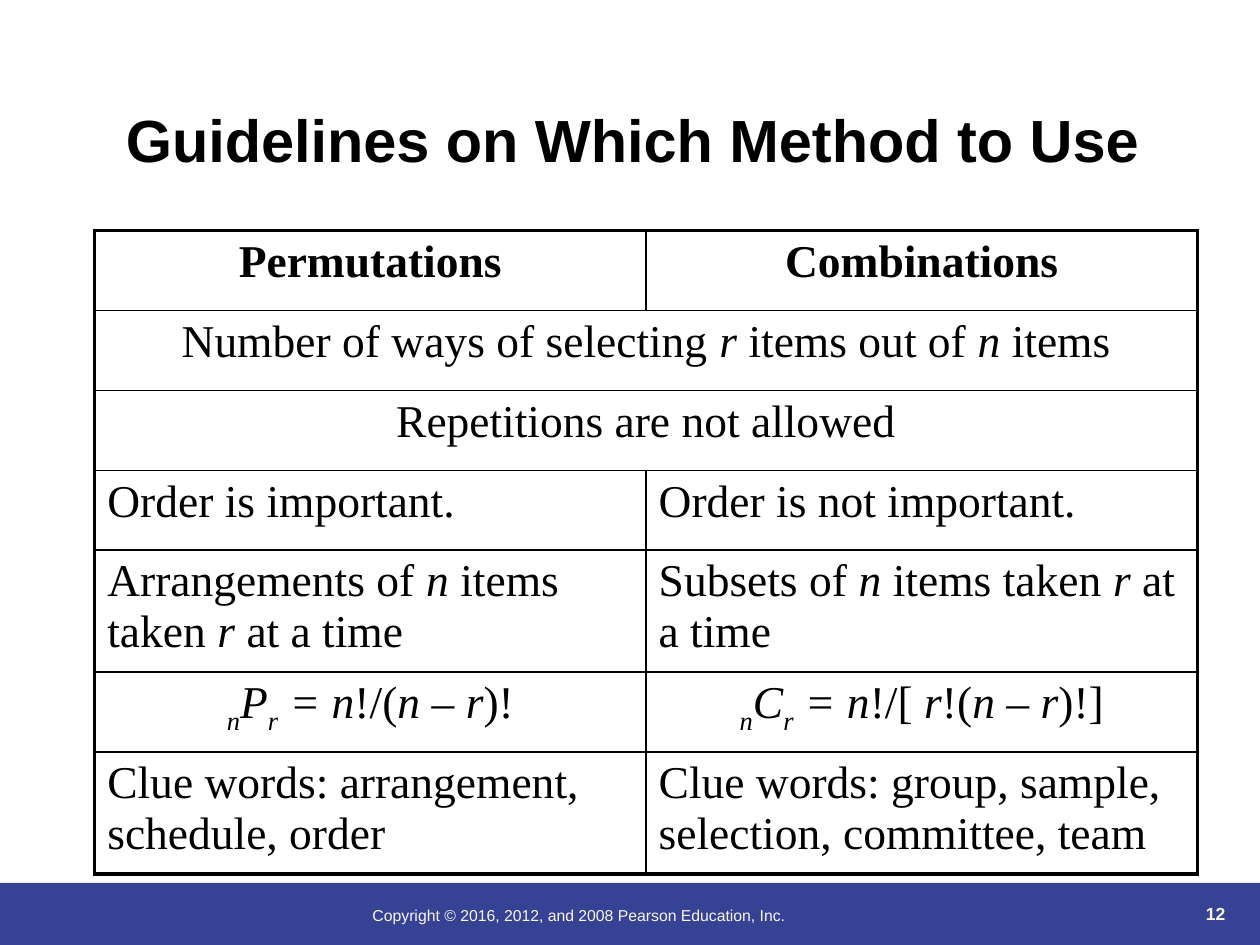
from lxml import etree
from pptx import Presentation
from pptx.dml import color
from pptx.enum import shapes, text
from pptx.oxml import ns
from pptx.util import Cm, Pt

COLORS = {"ink": "000000", "band": "364395", "cream": "FBF5EA"}
LEFT, CENTER, RIGHT = text.PP_ALIGN.LEFT, text.PP_ALIGN.CENTER, text.PP_ALIGN.RIGHT
TOP, BOTTOM = text.MSO_ANCHOR.TOP, text.MSO_ANCHOR.BOTTOM
THICK, THIN = Pt(2.25), Pt(1)
SINGLE_ROW, DOUBLE_ROW = 1.61, 2.46
GUIDELINES = [
    ("Permutations", "Combinations"),
    ("Number of ways of selecting *r* items out of *n* items",),
    ("Repetitions are not allowed",),
    ("Order is important.", "Order is not important."),
    ("Arrangements of *n* items taken *r* at a time",
     "Subsets of *n* items taken *r* at a time"),
    ("*_n_P_r_ = n*!/(*n – r*)!", "*_n_C_r_ = n*!/[* r*!(*n – r*)!]"),
    ("Clue words: arrangement, schedule, order",
     "Clue words: group, sample, selection, committee, team"),
]
CENTERED_ROWS = {0, 1, 2, 5}
TALL_ROWS = {4, 6}


def rgb(name):
    """Return the named colour."""
    return color.RGBColor.from_string(COLORS[name])


def write_text(frame, content, font="Arial", size=10, ink="ink", bold=False, align=LEFT):
    """Write one paragraph, with *italic* and, inside it, _subscript_ marks."""
    frame.word_wrap = True
    paragraph = frame.paragraphs[0]
    paragraph.alignment = align
    for index, part in enumerate(content.split("*")):
        for depth, piece in enumerate(part.split("_")):
            if not piece:
                continue
            run = paragraph.add_run()
            run.text = piece
            run.font.name, run.font.size = font, Pt(size)
            run.font.bold, run.font.italic = bold, index % 2 == 1
            run.font.color.rgb = rgb(ink)
            if depth % 2:
                run.font._element.set("baseline", "-25000")


def add_text(slide, box, content, anchor=TOP, **style):
    """Add a text box at (left, top, width, height) in centimetres."""
    frame = slide.shapes.add_textbox(*map(Cm, box)).text_frame
    frame.vertical_anchor = anchor
    write_text(frame, content, **style)


def add_footer(slide, left, top, width, height):
    """Draw the footer band with its copyright line and page number."""
    band = slide.shapes.add_shape(
        shapes.MSO_SHAPE.RECTANGLE, Cm(left), Cm(top), Cm(width), Cm(height))
    band.shadow.inherit = False
    band.fill.solid()
    band.fill.fore_color.rgb = rgb("band")
    band.line.fill.background()
    add_text(slide, (left + 7.26, top + 0.33, 12.5, height),
             "Copyright © 2016, 2012, and 2008 Pearson Education, Inc.",
             size=9, ink="cream")
    add_text(slide, (left + 22.61, top - 0.3, 2.34, height), "12",
             anchor=BOTTOM, ink="cream", bold=True, align=RIGHT)


def set_borders(cell, widths):
    """Give a cell solid borders from a mapping of side to width."""
    properties = cell._tc.get_or_add_tcPr()
    for position, (side, width) in enumerate(widths.items()):
        line = etree.Element(ns.qn(f"a:ln{side}"), w=str(width))
        fill = etree.SubElement(line, ns.qn("a:solidFill"))
        etree.SubElement(fill, ns.qn("a:srgbClr"), val=COLORS["ink"])
        properties.insert(position, line)


def add_guidelines(slide, left, top, width):
    """Draw the comparison table with a thick outer frame."""
    heights = [DOUBLE_ROW if row in TALL_ROWS else SINGLE_ROW
               for row in range(len(GUIDELINES))]
    table = slide.shapes.add_table(
        len(heights), 2, Cm(left), Cm(top), Cm(width), Cm(sum(heights))).table
    table.first_row = table.horz_banding = False
    for column in table.columns:
        column.width = Cm(width / 2)
    for row, entries in enumerate(GUIDELINES):
        table.rows[row].height = Cm(heights[row])
        if len(entries) == 1:
            table.cell(row, 0).merge(table.cell(row, 1))
        for column in range(2):
            cell = table.cell(row, column)
            cell.fill.background()
            widths = {
                "L": THIN if column else THICK,
                "R": THICK if column or cell.is_merge_origin else THIN,
                "T": THIN if row else THICK,
                "B": THICK if row == len(heights) - 1 else THIN,
            }
            if cell.is_spanned:
                del widths["L"]
            set_borders(cell, widths)
        for column, content in enumerate(entries):
            write_text(table.cell(row, column).text_frame, content,
                       font="Times New Roman", size=26, bold=row == 0,
                       align=CENTER if row in CENTERED_ROWS else LEFT)


def main():
    """Build and save the slide."""
    presentation = Presentation()
    presentation.slide_width, presentation.slide_height = Cm(25.4), Cm(19.05)
    slide = presentation.slides.add_slide(presentation.slide_layouts[6])
    add_footer(slide, 0, 17.8, 25.4, 1.26)
    add_guidelines(slide, 1.91, 4.65, 22.23)
    add_text(slide, (2.29, 1.96, 21.03, 1.68), "Guidelines on Which Method to Use",
             anchor=BOTTOM, size=34, bold=True)
    presentation.save("out.pptx")


if __name__ == "__main__":
    main()
